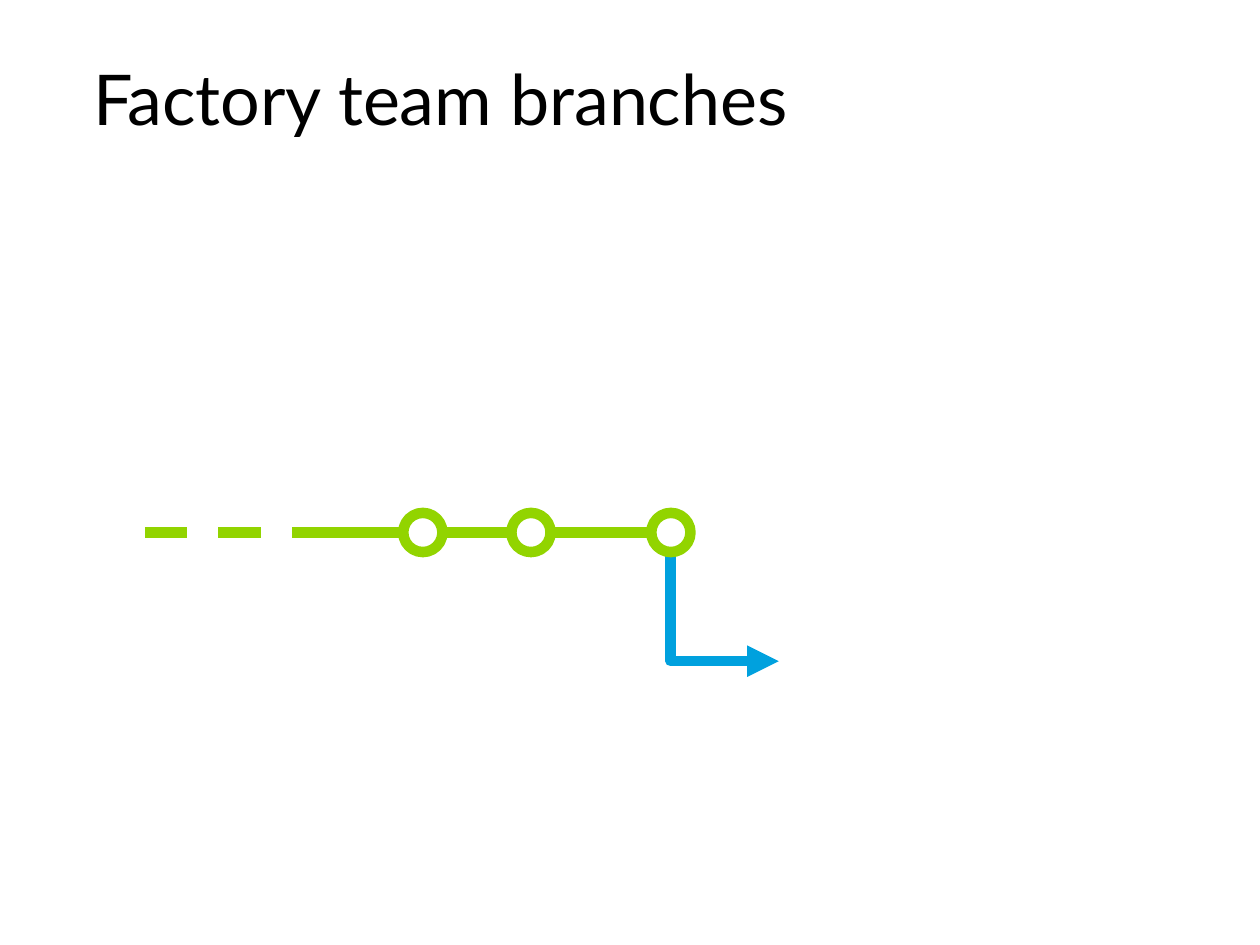
from dataclasses import dataclass

import pptx
import pptx.dml.color
import pptx.enum.dml
import pptx.enum.shapes
import pptx.enum.text
import pptx.oxml.ns
import pptx.util
from lxml import etree

Cm = pptx.util.Cm
Pt = pptx.util.Pt
qn = pptx.oxml.ns.qn


@dataclass(frozen=True)
class Theme:
    font: str = "Lato"
    title_size: float = 40
    stroke: float = 6
    text: str = "000000"
    trunk: str = "92D400"
    branch: str = "00A1DE"
    commit_fill: str = "FFFFFF"


THEME = Theme()


def rgb(value):
    return pptx.dml.color.RGBColor.from_string(value)


def add_text(slide, text, box, *, size, color, font=THEME.font,
             anchor=pptx.enum.text.MSO_ANCHOR.MIDDLE):
    label = slide.shapes.add_textbox(*(Cm(length) for length in box))
    frame = label.text_frame
    frame.word_wrap = True
    frame.vertical_anchor = anchor
    run = frame.paragraphs[0].add_run()
    run.text = text
    run.font.name = font
    run.font.size = Pt(size)
    run.font.color.rgb = rgb(color)


def add_line(shapes, start, end, color, kind=pptx.enum.shapes.MSO_CONNECTOR.STRAIGHT):
    line = shapes.add_connector(kind, *(Cm(length) for length in (*start, *end)))
    line.line.color.rgb = rgb(color)
    line.line.width = Pt(THEME.stroke)
    etree.SubElement(line._element.spPr, qn("a:effectLst"))
    return line


def draw_trunk(slide, box):
    """Draw the main line: a dashed past, a solid present and its commits."""
    left, top, width, diameter = box
    middle = top + diameter / 2
    solid_start = left + 3.4
    last_commit = left + width - diameter
    trunk = slide.shapes.add_group_shape().shapes

    add_line(trunk, (solid_start, middle), (last_commit, middle), THEME.trunk)
    past = add_line(trunk, (left, middle), (solid_start, middle), THEME.trunk)
    past.line.dash_style = pptx.enum.dml.MSO_LINE.DASH

    for commit_left in (left + 5.21, left + 7.39, last_commit):
        commit = trunk.add_shape(
            pptx.enum.shapes.MSO_SHAPE.OVAL,
            Cm(commit_left), Cm(top), Cm(diameter), Cm(diameter))
        commit.shadow.inherit = False
        commit.fill.solid()
        commit.fill.fore_color.rgb = rgb(THEME.commit_fill)
        commit.line.color.rgb = rgb(THEME.trunk)
        commit.line.width = Pt(THEME.stroke)


def draw_branch(slide, box):
    """Draw an arrow down the left and along the bottom of a square box."""
    left, top, side = box
    branch = add_line(slide.shapes, (left + side, top), (left, top + side),
                      THEME.branch, pptx.enum.shapes.MSO_CONNECTOR.ELBOW)
    properties = branch._element.spPr
    properties.find(qn("a:prstGeom")).set("prst", "bentConnector2")
    properties.find(qn("a:xfrm")).set("rot", str(270 * 60000))
    outline = properties.find(qn("a:ln"))
    etree.SubElement(outline, qn("a:round"))
    etree.SubElement(outline, qn("a:tailEnd"), type="triangle")


def main():
    deck = pptx.Presentation()
    deck.slide_width, deck.slide_height = Cm(25.4), Cm(19.05)
    slide = deck.slides.add_slide(deck.slide_layouts[6])
    add_text(slide, "Factory team branches", (1.63, 0.38, 22.17, 3.18),
             size=THEME.title_size, color=THEME.text)
    draw_branch(slide, (13.52, 11.15, 2.18))
    draw_trunk(slide, (2.92, 10.34, 11, 0.79))
    deck.save("out.pptx")


if __name__ == "__main__":
    main()
